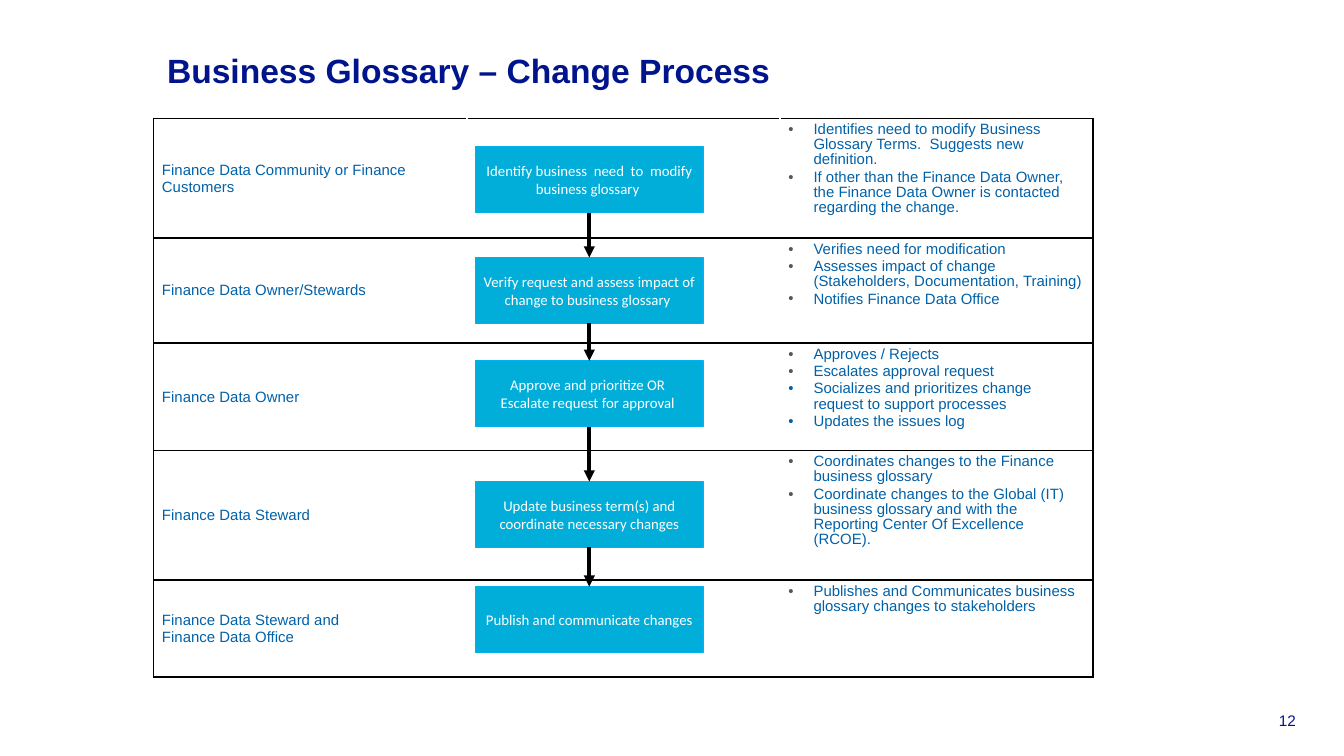
from itertools import pairwise

from lxml import etree
from pptx import Presentation
from pptx.dml.color import RGBColor
from pptx.enum import shapes, text
from pptx.oxml import ns
from pptx.util import Pt

NAVY = RGBColor(0x00, 0x14, 0x8C)
BLUE = RGBColor(0x00, 0x61, 0xA8)
CYAN = RGBColor(0x00, 0xAE, 0xD9)
CYAN_LINE = RGBColor(0x00, 0xB0, 0xF0)
GREY = RGBColor(0x55, 0x55, 0x5A)
BLACK = RGBColor(0, 0, 0)
WHITE = RGBColor(255, 255, 255)

TABLE_LEFT, TABLE_TOP, COLUMN_WIDTH = 82.3, 63.5, 167.8
STEP_LEFT, STEP_WIDTH, STEP_HEIGHT = 254.7, 122, 35.3

# Row height, roles, step top, step lines, duties, bullet colours
ROWS = [
    (64.1, ["Finance Data Community or Finance Customers"], 78.6,
     ["Identify business  need  to  modify business glossary "],
     ["Identifies need to modify Business Glossary Terms.  Suggests new definition.",
      "If other than the Finance Data Owner, the Finance Data Owner is contacted "
      "regarding the change."], [GREY] * 2),
    (56.2, ["Finance Data Owner/Stewards"], 138,
     ["Verify request and assess impact of change to business glossary "],
     ["Verifies need for modification ",
      "Assesses impact of change (Stakeholders, Documentation, Training)",
      "Notifies Finance Data Office"], [GREY] * 3),
    (57.6, ["Finance Data Owner"], 193.3,
     ["Approve and prioritize OR ", "Escalate request for approval "],
     ["Approves / Rejects", "Escalates approval request",
      "Socializes and prioritizes change request to support processes ",
      "Updates the issues log"], [GREY, GREY, BLUE, BLUE]),
    (69.4, ["Finance Data Steward"], 258,
     ["Update business term(s) and coordinate necessary changes"],
     ["Coordinates changes to the Finance business glossary",
      "Coordinate changes to the Global (IT) business glossary and with the "
      "Reporting Center Of Excellence (RCOE)."], [GREY] * 2),
    (52, ["Finance Data Steward and", "Finance Data Office"], 314.3,
     ["Publish and communicate changes"],
     ["Publishes and Communicates business glossary changes to stakeholders"], [GREY]),
]


def write_text(frame, lines, *, size, color, font="Arial", bold=False,
               align=text.PP_ALIGN.LEFT, anchor=text.MSO_ANCHOR.TOP,
               spacing=None, after=0, last_after=0):
    """Fill a text frame with one formatted paragraph per line."""
    frame.word_wrap = True
    frame.vertical_anchor = anchor
    for index, line in enumerate(lines):
        paragraph = frame.paragraphs[0] if index == 0 else frame.add_paragraph()
        paragraph.alignment = align
        paragraph.line_spacing = spacing
        paragraph.space_after = Pt(last_after if index == len(lines) - 1 else after)
        run = paragraph.add_run()
        run.text = line
        run.font.name, run.font.size, run.font.bold = font, Pt(size), bold
        run.font.color.rgb = color


def set_margins(holder, horizontal, vertical):
    """Set the inner margins of a cell or a text frame."""
    holder.margin_left = holder.margin_right = Pt(horizontal)
    holder.margin_top = holder.margin_bottom = Pt(vertical)


def add_bullet(paragraph, color):
    """Give a paragraph a hanging round bullet."""
    properties = paragraph._p.get_or_add_pPr()
    properties.set("marL", str(Pt(13.5)))
    properties.set("indent", str(-Pt(13.5)))
    bullet_color = etree.SubElement(properties, ns.qn("a:buClr"))
    etree.SubElement(bullet_color, ns.qn("a:srgbClr"), val=str(color))
    etree.SubElement(properties, ns.qn("a:buFont"), typeface="Arial")
    etree.SubElement(properties, ns.qn("a:buChar"), char="•")


def format_cell(cell, left, right):
    """Paint a cell white, with black rules above and below and given sides."""
    properties = cell._tc.get_or_add_tcPr()
    for side, color in (("L", left), ("R", right), ("T", BLACK), ("B", BLACK)):
        line = etree.SubElement(properties, ns.qn(f"a:ln{side}"), w=str(Pt(1)))
        fill = etree.SubElement(line, ns.qn("a:solidFill"))
        etree.SubElement(fill, ns.qn("a:srgbClr"), val=str(color))
    cell.fill.solid()
    cell.fill.fore_color.rgb = WHITE
    set_margins(cell, 4.5, 2.2)


def add_process_table(slide):
    """Add the table of roles and duties, with a free middle column."""
    height = sum(row[0] for row in ROWS)
    table = slide.shapes.add_table(len(ROWS), 3, Pt(TABLE_LEFT), Pt(TABLE_TOP),
                                   Pt(3 * COLUMN_WIDTH), Pt(height)).table
    table.first_row = table.horz_banding = False
    for column in table.columns:
        column.width = Pt(COLUMN_WIDTH)
    for index, (row_height, roles, _, _, duties, bullet_colors) in enumerate(ROWS):
        table.rows[index].height = Pt(row_height)
        role_cell, step_cell, duty_cell = table.rows[index].cells
        format_cell(role_cell, BLACK, WHITE)
        format_cell(step_cell, WHITE, WHITE)
        format_cell(duty_cell, WHITE, BLACK)
        write_text(role_cell.text_frame, roles, size=8, color=BLUE,
                   last_after=0 if index in (2, 3) else 4.5)
        role_cell.vertical_anchor = text.MSO_ANCHOR.MIDDLE
        write_text(duty_cell.text_frame, duties, size=8, color=BLUE,
                   spacing=0.9, after=1.2, last_after=1.2)
        duty_cell.vertical_anchor = text.MSO_ANCHOR.TOP
        for paragraph, color in zip(duty_cell.text_frame.paragraphs, bullet_colors):
            add_bullet(paragraph, color)


def add_step(slide, top, lines):
    """Add one process step box."""
    shape = slide.shapes.add_shape(shapes.MSO_SHAPE.RECTANGLE, Pt(STEP_LEFT), Pt(top),
                                   Pt(STEP_WIDTH), Pt(STEP_HEIGHT))
    shape.shadow.inherit = False
    shape.fill.solid()
    shape.fill.fore_color.rgb = CYAN
    shape.line.color.rgb = CYAN_LINE
    shape.line.width = Pt(0.75)
    set_margins(shape.text_frame, 2.2, 3.6)
    write_text(shape.text_frame, lines, size=7.9, color=WHITE, font="Calibri",
               align=text.PP_ALIGN.CENTER, anchor=text.MSO_ANCHOR.MIDDLE)
    return shape


def add_arrow(slide, upper, lower):
    """Connect two steps with a downward arrow."""
    arrow = slide.shapes.add_connector(shapes.MSO_CONNECTOR.STRAIGHT, 0, 0, 0, 0)
    arrow.begin_connect(upper, 2)
    arrow.end_connect(lower, 0)
    arrow.line.color.rgb = BLACK
    arrow.line.width = Pt(2)
    etree.SubElement(arrow.line._get_or_add_ln(), ns.qn("a:tailEnd"), type="triangle")
    etree.SubElement(arrow._element.spPr, ns.qn("a:effectLst"))


def add_title(slide, title_text):
    """Place and format the title placeholder."""
    title = slide.shapes.title
    title.left, title.top, title.width, title.height = Pt(82.3), Pt(23), Pt(491.8), Pt(32.4)
    title.text_frame.auto_size = text.MSO_AUTO_SIZE.NONE
    write_text(title.text_frame, [title_text], size=18, color=NAVY, bold=True)


def add_page_number(slide, number):
    """Add the page number at the lower right."""
    box = slide.shapes.add_textbox(Pt(652.3), Pt(380.9), Pt(41.8), Pt(10.1))
    set_margins(box.text_frame, 0, 0)
    write_text(box.text_frame, [number], size=8.2, color=NAVY,
               align=text.PP_ALIGN.RIGHT, anchor=text.MSO_ANCHOR.BOTTOM)


def main():
    """Build the slide and save it."""
    presentation = Presentation()
    presentation.slide_width, presentation.slide_height = Pt(720), Pt(405)
    slide = presentation.slides.add_slide(presentation.slide_layouts[5])
    add_title(slide, "Business Glossary – Change Process")
    add_process_table(slide)
    steps = [add_step(slide, top, lines) for _, _, top, lines, _, _ in ROWS]
    for upper, lower in pairwise(steps):
        add_arrow(slide, upper, lower)
    add_page_number(slide, "12")
    presentation.save("out.pptx")


main()
